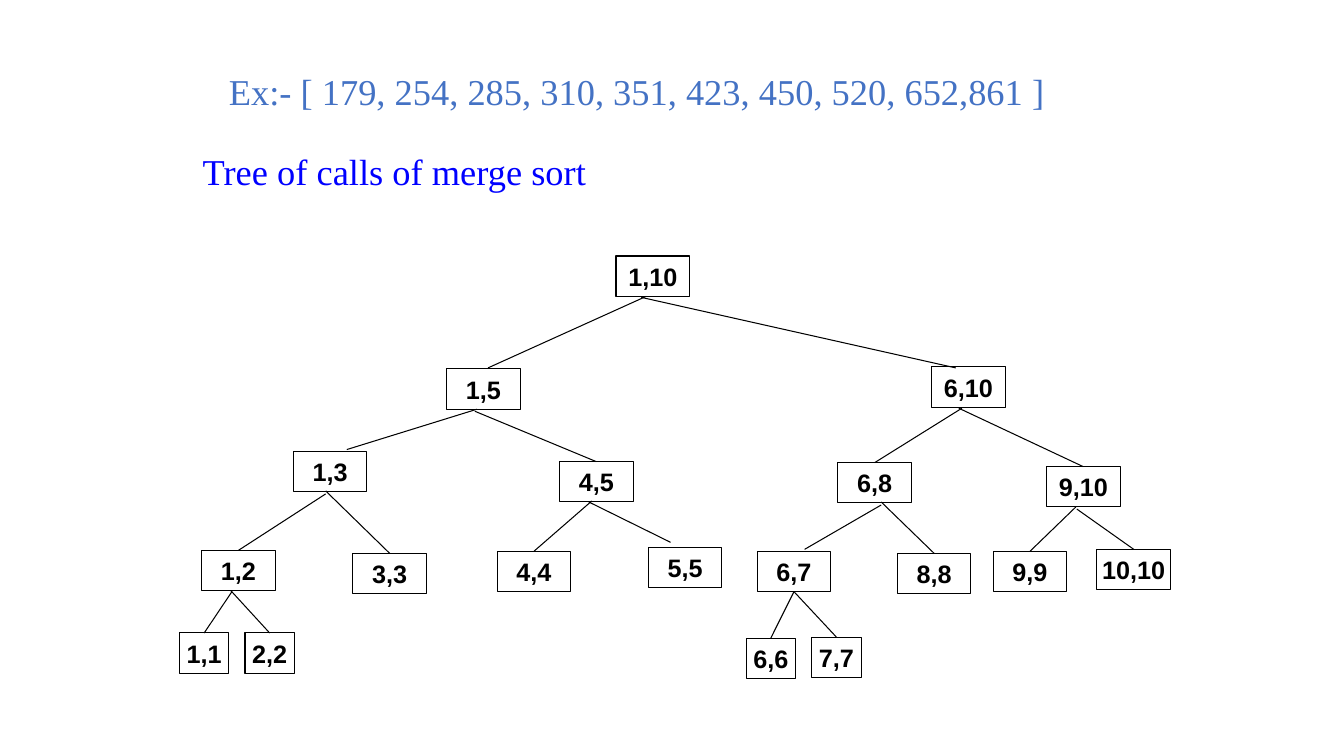
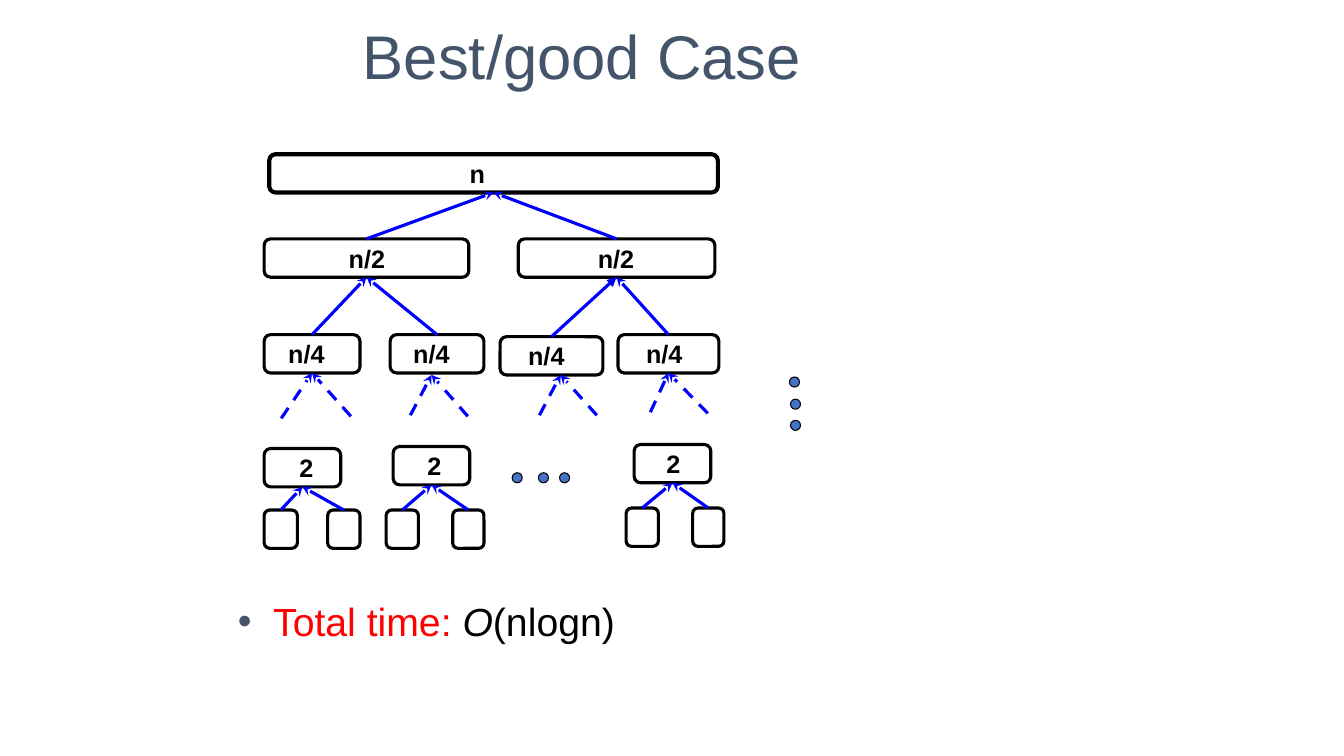
from dataclasses import dataclass
from typing import Optional

from pptx import Presentation
from pptx.dml.color import RGBColor
from pptx.enum.dml import MSO_LINE
from pptx.enum.shapes import MSO_CONNECTOR, MSO_SHAPE
from pptx.enum.text import MSO_ANCHOR, MSO_AUTO_SIZE, PP_ALIGN
from pptx.oxml.ns import qn
from pptx.util import Emu, Pt

EMU_PER_PX = 9144
SNAP = 4
BLACK, WHITE, BLUE, RED = "000000", "FFFFFF", "0000FF", "FF0000"
ACCENT, SLATE = "4472C4", "44546A"
SANS, SERIF = "Arial", "Times New Roman"


@dataclass
class Box:
    x: int
    y: int
    w: int
    h: int
    text: str = ""
    indent: Optional[int] = None
    line: float = 2.25


@dataclass
class Edge:
    x1: int
    y1: int
    x2: int
    y2: int
    head: str = "stealth"
    dashed: bool = False


@dataclass
class Span:
    text: str
    color: str
    italic: bool = False


def px(value: int) -> Emu:
    return Emu(value * EMU_PER_PX)


def rgb(value: str) -> RGBColor:
    return RGBColor.from_string(value)


def style(r, font: str, size: int, color: str) -> None:
    r.font.name = font
    r.font.size = Pt(size)
    r.font.color.rgb = rgb(color)


def place(sp, x: int, y: int, w: int, h: int) -> None:
    sp.left, sp.top, sp.width, sp.height = px(x), px(y), px(w), px(h)


def set_title(s, area: tuple, text: str, font: str, size: int, color: str, align) -> None:
    sp = s.shapes.title
    place(sp, *area)
    tf = sp.text_frame
    tf.text = text
    tf.auto_size = MSO_AUTO_SIZE.NONE
    tf.vertical_anchor = MSO_ANCHOR.MIDDLE
    p = tf.paragraphs[0]
    p.alignment = align
    p.line_spacing = 0.9
    style(p.runs[0], font, size, color)


def set_body(s, area: tuple, spans: list[Span], font: str, size: int,
             hanging: int, spacing: float, bullet: str = "") -> None:
    sp = s.placeholders[1]
    place(sp, *area)
    tf = sp.text_frame
    tf.auto_size = MSO_AUTO_SIZE.NONE
    p = tf.paragraphs[0]
    p.line_spacing = spacing
    p.space_before = Pt(0)
    p_pr = p._p.get_or_add_pPr()
    p_pr.set("marL", str(px(hanging)))
    p_pr.set("indent", str(-px(hanging)))
    if bullet:
        color = p_pr.makeelement(qn("a:buClr"), {})
        color.append(color.makeelement(qn("a:srgbClr"), {"val": SLATE}))
        p_pr.append(color)
        p_pr.append(p_pr.makeelement(qn("a:buFont"), {"typeface": SANS}))
        p_pr.append(p_pr.makeelement(qn("a:buChar"), {"char": bullet}))
    else:
        p_pr.append(p_pr.makeelement(qn("a:buNone"), {}))
    for span in spans:
        r = p.add_run()
        r.text = span.text
        style(r, font, size, span.color)
        r.font.italic = span.italic


def add_shape(s, preset, box: Box, fill: str = ""):
    sp = s.shapes.add_shape(preset, px(box.x), px(box.y), px(box.w), px(box.h))
    sp.shadow.inherit = False
    if fill:
        sp.fill.solid()
        sp.fill.fore_color.rgb = rgb(fill)
    else:
        sp.fill.background()
    sp.line.color.rgb = rgb(BLACK)
    sp.line.width = Pt(box.line)
    return sp


def add_node(s, preset, box: Box, fill: str = ""):
    sp = add_shape(s, preset, box, fill)
    if box.text:
        tf = sp.text_frame
        tf.text = box.text
        tf.vertical_anchor = MSO_ANCHOR.MIDDLE
        p = tf.paragraphs[0]
        if box.indent is None:
            tf.word_wrap = False
            p.alignment = PP_ALIGN.CENTER
        else:
            tf.word_wrap = True
            tf.margin_left = px(box.indent)
            tf.margin_right = tf.margin_top = tf.margin_bottom = 0
            p.alignment = PP_ALIGN.LEFT
        style(p.runs[0], SANS, 18, BLACK)
        p.runs[0].font.bold = True
    return sp


def find_site(nodes: list, x: int, y: int):
    for sp in nodes:
        for site, side in ((0, sp.top), (2, sp.top + sp.height)):
            middle = sp.left + sp.width // 2
            if abs(middle - px(x)) <= px(SNAP) and abs(side - px(y)) <= px(SNAP):
                return sp, site
    return None


def add_edge(s, nodes: list, edge: Edge, color: str, width: float) -> None:
    cxn = s.shapes.add_connector(MSO_CONNECTOR.STRAIGHT, px(edge.x1), px(edge.y1),
                                 px(edge.x2), px(edge.y2))
    start = find_site(nodes, edge.x1, edge.y1)
    end = find_site(nodes, edge.x2, edge.y2)
    if start:
        cxn.begin_connect(*start)
    if end:
        cxn.end_connect(*end)
    cxn.line.color.rgb = rgb(color)
    cxn.line.width = Pt(width)
    if edge.dashed:
        cxn.line.dash_style = MSO_LINE.DASH
    if edge.head:
        ln = cxn.line._get_or_add_ln()
        ln.append(ln.makeelement(qn("a:tailEnd"), {"type": edge.head}))
    sp_pr = cxn._element.spPr
    sp_pr.append(sp_pr.makeelement(qn("a:effectLst"), {}))


def call_box(x: int, y: int, text: str, w: int = 73) -> Box:
    return Box(x, y, w, 40, text, line=0.75)


def step_box(x: int, y: int, w: int, text: str = "", indent: int = 0, line: float = 2.25) -> Box:
    return Box(x, y, w, 38, text, indent, line)


CALLS = [
    call_box(611, 254, "1,10"),
    call_box(443, 366, "1,5"), call_box(924, 364, "6,10"),
    call_box(291, 448, "1,3"), call_box(555, 458, "4,5"),
    call_box(831, 459, "6,8"), call_box(1038, 463, "9,10"),
    call_box(200, 546, "1,2"), call_box(350, 549, "3,3"),
    call_box(493, 547, "4,4"), call_box(643, 543, "5,5"),
    call_box(751, 547, "6,7"), call_box(890, 549, "8,8"),
    call_box(985, 547, "9,9"), call_box(1088, 545, "10,10"),
    call_box(178, 628, "1,1", 49), call_box(243, 628, "2,2", 49),
    call_box(740, 633, "6,6", 49), call_box(805, 632, "7,7", 49),
]

CALL_EDGES = [
    (641, 294, 484, 365), (636, 295, 948, 365),
    (473, 406, 344, 446), (471, 408, 590, 455),
    (954, 405, 865, 456), (951, 405, 1075, 462),
    (323, 490, 240, 543), (323, 487, 386, 546),
    (587, 497, 529, 544), (584, 498, 665, 538),
    (874, 501, 798, 545), (874, 498, 928, 545),
    (1067, 503, 1019, 544), (1068, 505, 1122, 543),
    (230, 587, 200, 629), (229, 586, 265, 624),
    (789, 587, 762, 633), (789, 587, 830, 630),
]

STEPS = [
    step_box(267, 153, 445, "n", 197, 3),
    step_box(262, 237, 203, "n/2", 82), step_box(514, 237, 195, "n/2", 77),
    step_box(262, 332, 95, "n/4", 22), step_box(387, 332, 93, "n/4", 21),
    step_box(496, 334, 102, "n/4", 26), step_box(613, 332, 100, "n/4", 26),
    step_box(262, 445, 76, "2", 33), step_box(390, 443, 76, "2", 32),
    step_box(629, 441, 76, "2", 30),
    step_box(262, 506, 33), step_box(325, 506, 32),
    step_box(383, 506, 32), step_box(449, 506, 31),
    step_box(621, 504, 32), step_box(687, 504, 31),
]

MERGES = [
    Edge(363, 235, 489, 193), Edge(611, 235, 489, 193),
    Edge(309, 329, 363, 274), Edge(434, 331, 363, 276),
    Edge(547, 332, 611, 276, "triangle"), Edge(663, 331, 611, 276),
    Edge(278, 505, 300, 485), Edge(341, 505, 300, 485),
    Edge(399, 505, 428, 482), Edge(464, 505, 428, 482),
    Edge(637, 503, 667, 480), Edge(703, 503, 667, 480),
]

DASH_TIPS = [(309, 369, 279, 415, 348, 413), (428, 372, 407, 412, 464, 413),
             (556, 372, 535, 412, 592, 412), (667, 369, 645, 409, 702, 410)]
DOTS = [(783, 374), (784, 396), (784, 417), (508, 469), (534, 469), (555, 469)]


def call_tree_slide(prs) -> None:
    s = prs.slides.add_slide(prs.slide_layouts[1])
    set_title(s, (217, 30, 917, 125),
              "Ex:- [ 179, 254, 285, 310, 351, 423, 450, 520, 652,861 ]",
              SERIF, 26, ACCENT, PP_ALIGN.LEFT)
    set_body(s, (191, 148, 952, 578), [Span("Tree of calls of merge sort", BLUE)],
             SERIF, 26, 25, 0.9)
    nodes = [add_node(s, MSO_SHAPE.RECTANGLE, box, WHITE) for box in CALLS]
    for ends in CALL_EDGES:
        add_edge(s, nodes, Edge(*ends, head=""), BLACK, 0.75)


def best_case_slide(prs) -> None:
    s = prs.slides.add_slide(prs.slide_layouts[1])
    set_title(s, (165, 19, 825, 81), "Best/good Case", SANS, 44, SLATE, PP_ALIGN.CENTER)
    set_body(s, (226, 588, 773, 100),
             [Span("Total time: ", RED), Span("O", BLACK, True), Span("(nlogn)", BLACK)],
             SANS, 28, 35, 1.0, "•")
    nodes = [add_node(s, MSO_SHAPE.ROUNDED_RECTANGLE, box) for box in STEPS]
    dashes = [Edge(x, y, tip_x, tip_y, dashed=True)
              for tip_x, tip_y, x1, y1, x2, y2 in DASH_TIPS
              for x, y in ((x1, y1), (x2, y2))]
    for edge in MERGES + dashes:
        add_edge(s, nodes, edge, BLUE, 2.25)
    for x, y in DOTS:
        add_shape(s, MSO_SHAPE.OVAL, Box(x, y, 10, 10, line=0.75), ACCENT)


def main() -> None:
    prs = Presentation()
    prs.slide_width, prs.slide_height = px(1333), px(750)
    call_tree_slide(prs)
    best_case_slide(prs)
    prs.save("out.pptx")


if __name__ == "__main__":
    main()
